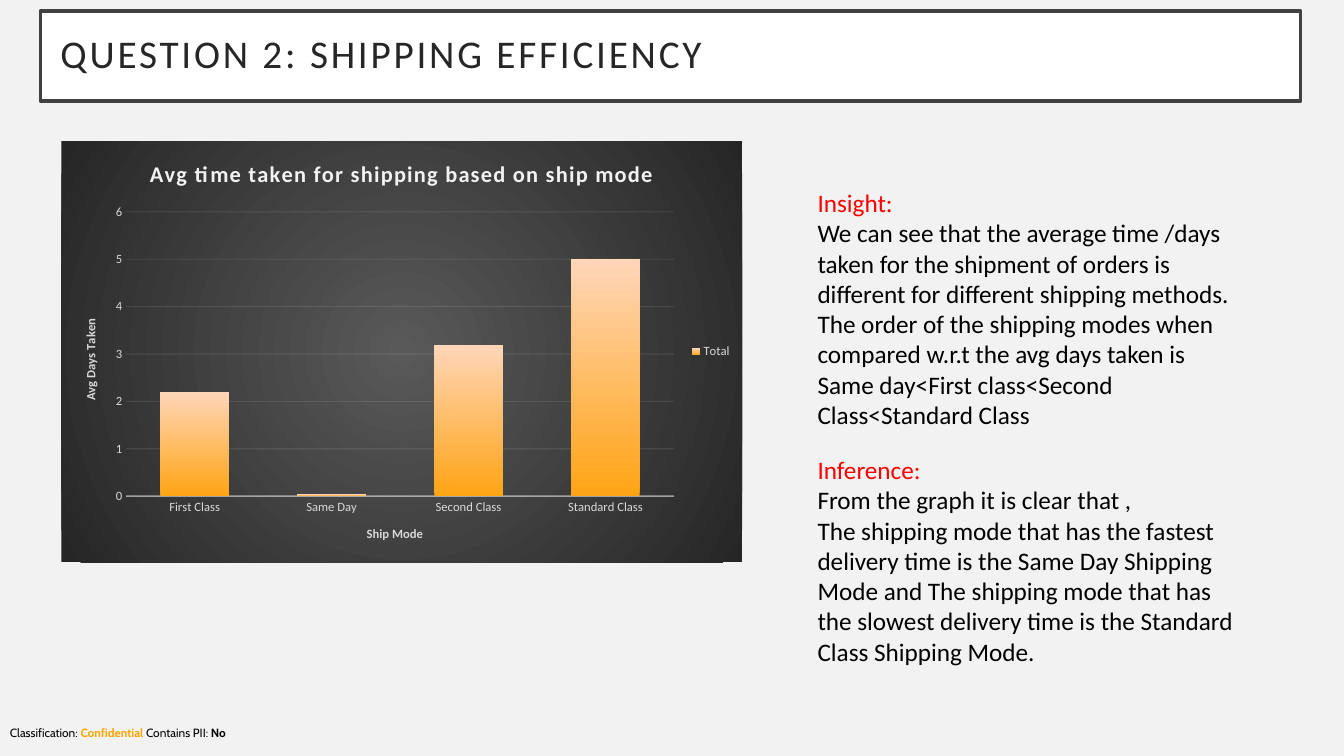
"""Build the slide on shipping efficiency by ship mode."""
from lxml import etree
from pptx import Presentation
from pptx.chart import data
from pptx.dml.color import RGBColor
from pptx.enum import chart as kinds, text
from pptx.oxml import parse_xml
from pptx.oxml.ns import qn
from pptx.util import Inches, Pt

BLACK = RGBColor(0, 0, 0)
WHITE = RGBColor(255, 255, 255)
RED = RGBColor(255, 0, 0)
AMBER = RGBColor(0xFF, 0xA5, 0)
ORANGE = RGBColor(0xFF, 0xA4, 0x14)
PEACH = RGBColor(0xFF, 0xD6, 0xB9)
PALE = RGBColor(0xF2, 0xF2, 0xF2)
SILVER = RGBColor(0xD9, 0xD9, 0xD9)
FRAME = RGBColor(0x40, 0x40, 0x40)
INK = RGBColor(0x26, 0x26, 0x26)


def style(font, size, color, bold=False, name="Calibri"):
    font.name, font.size, font.bold = name, Pt(size), bold
    font.color.rgb = color


def rule(line, width, alpha):
    line.width = Pt(width)
    line.color.rgb = PALE
    tint = line.fill._xPr.find(".//" + qn("a:srgbClr"))
    etree.SubElement(tint, qn("a:alpha")).set("val", str(alpha * 1000))


deck = Presentation()
deck.slide_width, deck.slide_height = Inches(13.33), Inches(7.5)
slide = deck.slides.add_slide(deck.slide_layouts[5])
slide.background.fill.solid()
slide.background.fill.fore_color.rgb = PALE

title = slide.shapes.title
title.left, title.top = Inches(0.4), Inches(0.11)
title.width, title.height = Inches(12.5), Inches(0.89)
title.fill.solid()
title.fill.fore_color.rgb = WHITE
title.line.color.rgb = FRAME
title.line.width = Pt(2.5)
frame = title.text_frame
frame.text = "QUESTION 2: SHIPPING EFFICIENCY"
frame.auto_size = text.MSO_AUTO_SIZE.NONE
frame.vertical_anchor = text.MSO_ANCHOR.MIDDLE
frame.margin_left = frame.margin_right = Inches(0.2)
frame.margin_top = frame.margin_bottom = Inches(0.2)
head = frame.paragraphs[0]
head.alignment = text.PP_ALIGN.LEFT
head.line_spacing = 0.9
style(head.font, 28, INK)
head.runs[0].font._element.set("spc", "200")

table = data.CategoryChartData()
table.categories = ["First Class", "Same Day", "Second Class", "Standard Class"]
table.add_series("Total", [2.2, 0.04, 3.2, 5])
chart = slide.shapes.add_chart(
    kinds.XL_CHART_TYPE.COLUMN_CLUSTERED, Inches(0.61), Inches(1.4),
    Inches(6.75), Inches(4.18), table).chart
style(chart.font, 10, BLACK)

SPACE = ('xmlns:c="http://schemas.openxmlformats.org/drawingml/2006/chart" '
         'xmlns:a="http://schemas.openxmlformats.org/drawingml/2006/main"')
back = parse_xml(
    f'<c:spPr {SPACE}><a:gradFill><a:gsLst>'
    '<a:gs pos="0"><a:srgbClr val="595959"/></a:gs>'
    '<a:gs pos="100000"><a:srgbClr val="262626"/></a:gs></a:gsLst>'
    '<a:path path="circle"><a:fillToRect l="50000" t="50000" r="50000" b="50000"/>'
    '</a:path></a:gradFill><a:ln><a:noFill/></a:ln></c:spPr>')
chart._chartSpace.find(qn("c:chart")).addnext(back)

area = chart._chartSpace.find(".//" + qn("c:plotArea"))
for old in area.findall(qn("c:layout")):
    area.remove(old)
area.insert(0, parse_xml(
    f'<c:layout {SPACE}><c:manualLayout><c:layoutTarget val="inner"/>'
    '<c:xMode val="edge"/><c:yMode val="edge"/><c:x val="0.095"/><c:y val="0.168"/>'
    '<c:w val="0.805"/><c:h val="0.675"/></c:manualLayout></c:layout>'))

cats, vals = chart.category_axis, chart.value_axis
names = [(chart, "Avg time taken for shipping based on ship mode", 16, PALE),
         (cats, "Ship Mode", 9, SILVER), (vals, "Avg Days Taken", 9, SILVER)]
for owner, words, size, color in names:
    label = owner.chart_title if owner is chart else owner.axis_title
    label.text_frame.text = words
    style(label.text_frame.paragraphs[0].font, size, color, True)
chart.chart_title.text_frame.paragraphs[0].runs[0].font._element.set("spc", "100")
chart.chart_title.include_in_layout = False

for axis in (cats, vals):
    axis.major_tick_mark = axis.minor_tick_mark = kinds.XL_TICK_MARK.NONE
    style(axis.tick_labels.font, 9, SILVER)
rule(cats.format.line, 1, 54)
vals.format.line.fill.background()
vals.minimum_scale, vals.maximum_scale, vals.major_unit = 0, 6, 1
vals.tick_labels.number_format = "0"
vals.tick_labels.number_format_is_linked = False
rule(vals.major_gridlines.format.line, 0.75, 10)

chart.has_legend = True
chart.legend.position = kinds.XL_LEGEND_POSITION.RIGHT
chart.legend.include_in_layout = False
style(chart.legend.font, 9, SILVER)

plot = chart.plots[0]
plot.gap_width, plot.overlap, plot.vary_by_categories = 100, -24, False
bars = plot.series[0]
bars.invert_if_negative = False
fill = bars.format.fill
fill.gradient()
fill.gradient_angle = 90
for stop, color, place in zip(fill.gradient_stops, (ORANGE, PEACH), (0, 1)):
    stop.color.rgb, stop.position = color, place

notes = [
    (1.81, ["Insight:",
            "We can see that the average time /days taken for the shipment of orders "
            "is different for different shipping methods. The order of the shipping "
            "modes when compared w.r.t the avg days taken is",
            "Same day<First class<Second Class<Standard Class"]),
    (4.46, ["Inference:",
            "From the graph it is clear that ,",
            "The shipping mode that has the fastest delivery time is the Same Day "
            "Shipping Mode and The shipping mode that has the slowest delivery time "
            "is the Standard Class Shipping Mode."]),
]
for top, lines in notes:
    box = slide.shapes.add_textbox(Inches(8.01), Inches(top), Inches(4.32), Inches(2.52))
    box.text_frame.word_wrap = True
    box.text_frame.text = "\n".join(lines)
    for rank, para in enumerate(box.text_frame.paragraphs):
        style(para.font, 18, BLACK if rank else RED)

foot = slide.shapes.add_textbox(0, Inches(7.15), Inches(13.33), Inches(0.24))
foot.text_frame.word_wrap = True
para = foot.text_frame.paragraphs[0]
for words, color, bold in [("Classification: ", BLACK, False), ("Confidential", AMBER, True),
                           (" Contains PII: ", BLACK, False), ("No", BLACK, True)]:
    run = para.add_run()
    run.text = words
    style(run.font, 8.5, color, bold, "Cabin")

deck.save("out.pptx")
